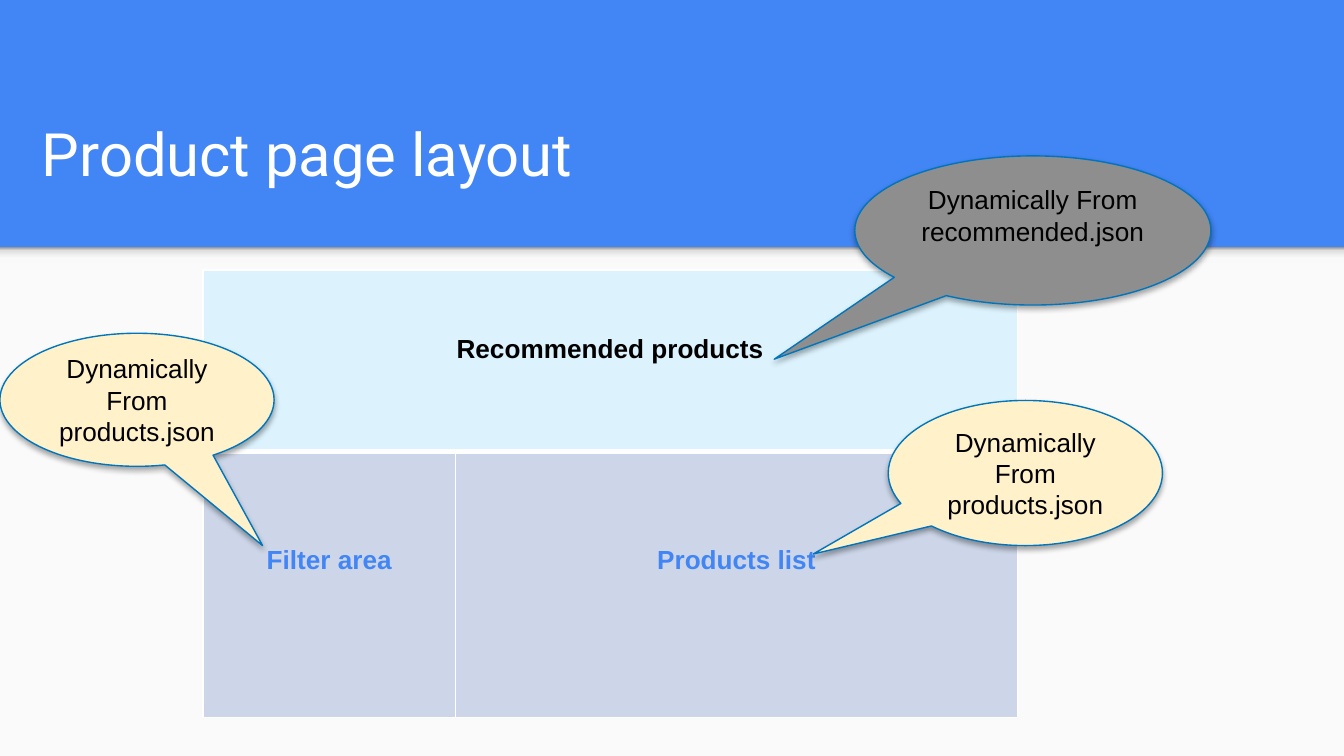
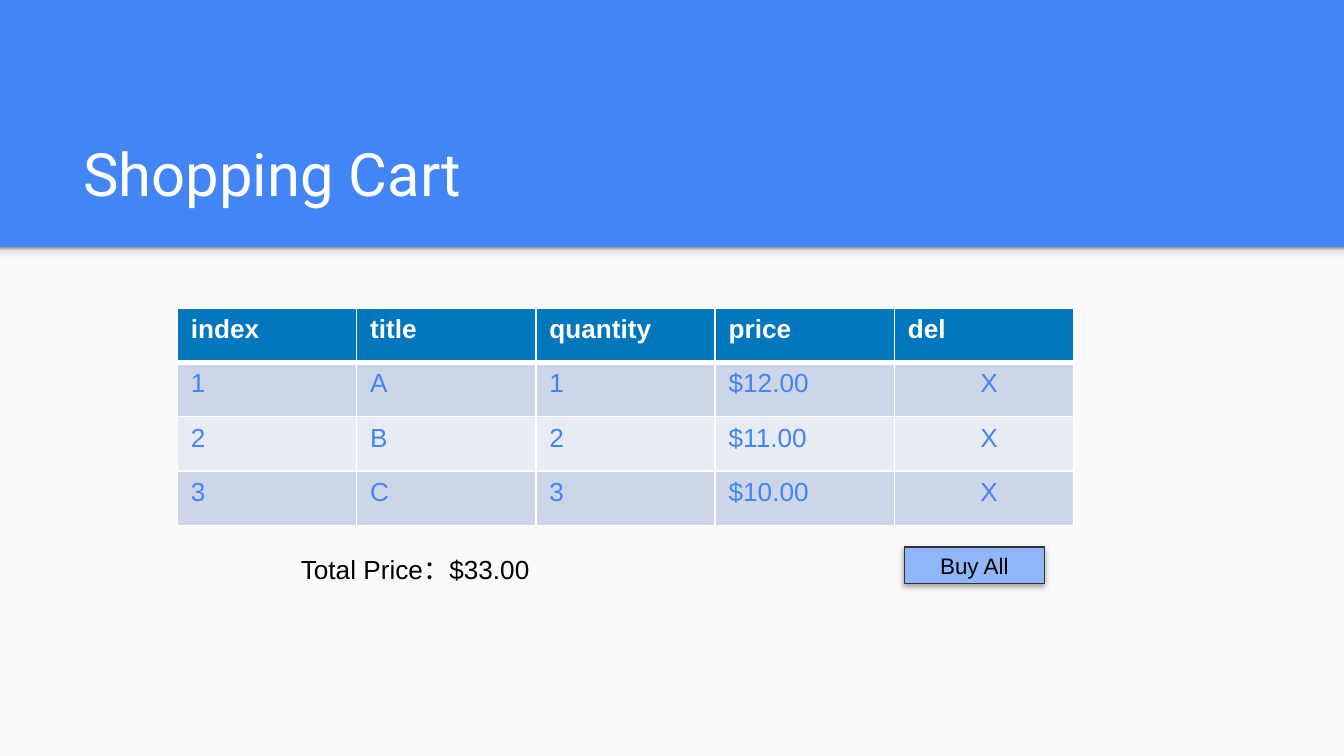
from lxml import etree
from pptx import Presentation
from pptx import util as u
from pptx.dml.color import RGBColor
from pptx.enum import shapes, text
from pptx.oxml import parse_xml
from pptx.oxml.ns import nsdecls, qn

BLUE = RGBColor(0x42, 0x85, 0xF4)
PAPER = RGBColor(0xFA, 0xFA, 0xFA)
WHITE = RGBColor(0xFF, 0xFF, 0xFF)
BLACK = RGBColor(0, 0, 0)
GREY = RGBColor(0x8E, 0x8E, 0x8E)
CREAM = RGBColor(0xFF, 0xF1, 0xCA)
OUTLINE = RGBColor(0x00, 0x75, 0xBB)
HEADER = RGBColor(0x02, 0x77, 0xBD)
SKY = RGBColor(0xDC, 0xF3, 0xFD)
ROW_DARK = RGBColor(0xCC, 0xD6, 0xE8)
ROW_LIGHT = RGBColor(0xE7, 0xEC, 0xF4)
BUTTON = RGBColor(0x8E, 0xB6, 0xF8)
CHARCOAL = RGBColor(0x32, 0x32, 0x32)
BAND_STOPS = [(0, "F9F9F9"), (36, "F9F9F9"), (80, "DEDEDE"), (100, "999999")]

PAGE_WIDTH = 10
PAGE_HEIGHT = PAGE_WIDTH * 9 / 16
BAND_TOP = 1.84

LEFT = text.PP_ALIGN.LEFT
CENTER = text.PP_ALIGN.CENTER


def inches(*lengths):
    return [u.Inches(length) for length in lengths]


def style(para, size, color, align=LEFT, bold=False, font="Arial"):
    para.alignment = align
    para.font.name = font
    para.font.size = u.Pt(size)
    para.font.bold = bold
    para.font.color.rgb = color


def add_plain_shape(page, kind, at, fill):
    shape = page.shapes.add_shape(kind, *inches(*at))
    shape.shadow.inherit = False
    shape.line.fill.background()
    shape.fill.solid()
    shape.fill.fore_color.rgb = fill
    return shape


def add_gradient_band(page):
    band = add_plain_shape(
        page, shapes.MSO_SHAPE.RECTANGLE, (0, BAND_TOP, PAGE_WIDTH, 0.12), PAPER
    )
    stops = "".join(
        f'<a:gs pos="{place * 1000}"><a:srgbClr val="{color}"/></a:gs>'
        for place, color in BAND_STOPS
    )
    gradient = parse_xml(
        f'<a:gradFill {nsdecls("a")} rotWithShape="1"><a:gsLst>{stops}</a:gsLst>'
        '<a:lin ang="16200000" scaled="0"/></a:gradFill>'
    )
    properties = band._element.spPr
    properties.replace(properties.find(qn("a:solidFill")), gradient)


def add_page(deck, title, at):
    page = deck.slides.add_slide(deck.slide_layouts[5])
    page.background.fill.solid()
    page.background.fill.fore_color.rgb = BLUE
    add_plain_shape(
        page, shapes.MSO_SHAPE.RECTANGLE,
        (0, BAND_TOP, PAGE_WIDTH, PAGE_HEIGHT - BAND_TOP), PAPER,
    )
    add_gradient_band(page)
    box = page.shapes.title
    box.left, box.top, box.width, box.height = inches(*at)
    frame = box.text_frame
    frame.text = title
    frame.auto_size = text.MSO_AUTO_SIZE.NONE
    frame.vertical_anchor = text.MSO_ANCHOR.BOTTOM
    frame.margin_left = frame.margin_right = u.Inches(0.1)
    frame.margin_top = frame.margin_bottom = u.Inches(0.1)
    style(frame.paragraphs[0], 32, WHITE, font="Roboto")
    return page


def add_shadow(shape):
    effects = shape._element.spPr.find(qn("a:effectLst"))
    shadow = etree.SubElement(
        effects, qn("a:outerShdw"), blurRad=str(u.Pt(3.1)), dist=str(u.Pt(1.8)),
        dir="5400000", rotWithShape="0",
    )
    color = etree.SubElement(shadow, qn("a:srgbClr"), val="000000")
    etree.SubElement(color, qn("a:alpha"), val="35000")


def add_raised_shape(page, kind, at, words, fill, line, size):
    shape = add_plain_shape(page, kind, at, fill)
    shape.line.color.rgb = line
    shape.line.width = u.Pt(0.75)
    add_shadow(shape)
    frame = shape.text_frame
    frame.word_wrap = True
    frame.vertical_anchor = text.MSO_ANCHOR.MIDDLE
    frame.text = words
    style(frame.paragraphs[0], size, BLACK, CENTER)
    return shape


def add_callout(page, at, pointer, words, fill=CREAM):
    callout = add_raised_shape(
        page, shapes.MSO_SHAPE.OVAL_CALLOUT, at, words, fill, OUTLINE, 14
    )
    callout.adjustments[0], callout.adjustments[1] = pointer
    return callout


def add_grid(page, at, widths, heights):
    table = page.shapes.add_table(len(heights), len(widths), *inches(*at)).table
    for column, width in zip(table.columns, widths):
        column.width = u.Inches(width)
    for row, height in zip(table.rows, heights):
        row.height = u.Inches(height)
    for index, row in enumerate(table.rows):
        for cell in row.cells:
            add_borders(cell, top=3 if index == 1 else 1, bottom=3 if index == 0 else 1)
    return table


def add_borders(cell, top, bottom):
    properties = cell._tc.get_or_add_tcPr()
    for side, width in (("L", 1), ("R", 1), ("T", top), ("B", bottom)):
        line = etree.SubElement(properties, qn(f"a:ln{side}"), w=str(u.Pt(width)))
        fill = etree.SubElement(line, qn("a:solidFill"))
        etree.SubElement(fill, qn("a:srgbClr"), val=str(WHITE))


def fill_cell(cell, words, fill, color, align=LEFT, bold=False):
    cell.text = words
    cell.fill.solid()
    cell.fill.fore_color.rgb = fill
    style(cell.text_frame.paragraphs[0], 14, color, align, bold)


def build_product_page(deck):
    page = add_page(deck, "Product page layout", (0.21, 0.91, 7.75, 0.59))
    table = add_grid(page, (1.51, 2.01, 6.06, 3.33), (1.88, 4.18), (1.35, 1.98))
    table.cell(0, 0).merge(table.cell(0, 1))
    areas = [
        (0, 0, "Recommended products", SKY, BLACK, 0.48),
        (1, 0, "Filter area", ROW_DARK, BLUE, 0.7),
        (1, 1, "Products list", ROW_DARK, BLUE, 0.7),
    ]
    for row, column, words, fill, color, margin in areas:
        cell = table.cell(row, column)
        fill_cell(cell, words, fill, color, CENTER, bold=True)
        cell.margin_top = u.Inches(margin)

    recommended = add_callout(
        page, (6.36, 1.16, 2.65, 1.11), (-0.726, 0.863),
        "Dynamically From recommended.json", GREY,
    )
    recommended.text_frame.margin_bottom = u.Inches(0.28)
    for at, pointer in (
        ((6.61, 2.98, 2.04, 1.08), (-0.774, 0.558)),
        ((0, 2.48, 2.04, 0.99), (0.458, 1.096)),
    ):
        add_callout(page, at, pointer, "Dynamically From products.json")


def build_cart_page(deck):
    page = add_page(deck, "Shopping Cart", (0.52, 0.81, 8.99, 0.84))
    rows = [
        ("index", "title", "quantity", "price", "del"),
        ("1", "A", "1", "$12.00", "X"),
        ("2", "B", "2", "$11.00", "X"),
        ("3", "C", "3", "$10.00", "X"),
    ]
    table = add_grid(page, (1.32, 2.29, 6.67, 1.62), [6.67 / 5] * 5, [1.62 / 4] * 4)
    for index, row in enumerate(rows):
        is_header = index == 0
        fill = HEADER if is_header else ROW_DARK if index % 2 else ROW_LIGHT
        for column, words in enumerate(row):
            cell = table.cell(index, column)
            fill_cell(cell, words, fill, WHITE if is_header else BLUE, bold=is_header)
            if words == "X":
                cell.margin_left = u.Inches(0.64)

    total = page.shapes.add_textbox(*inches(2.14, 4.07, 1.94, 0.34)).text_frame
    total.word_wrap = False
    total.auto_size = text.MSO_AUTO_SIZE.SHAPE_TO_FIT_TEXT
    total.text = "Total Price：$33.00"
    style(total.paragraphs[0], 14, BLACK)
    add_raised_shape(
        page, shapes.MSO_SHAPE.RECTANGLE, (6.73, 4.07, 1.04, 0.27),
        "Buy All", BUTTON, CHARCOAL, 12,
    )


def main():
    deck = Presentation()
    deck.slide_width, deck.slide_height = inches(PAGE_WIDTH, PAGE_HEIGHT)
    build_product_page(deck)
    build_cart_page(deck)
    deck.save("out.pptx")


if __name__ == "__main__":
    main()
